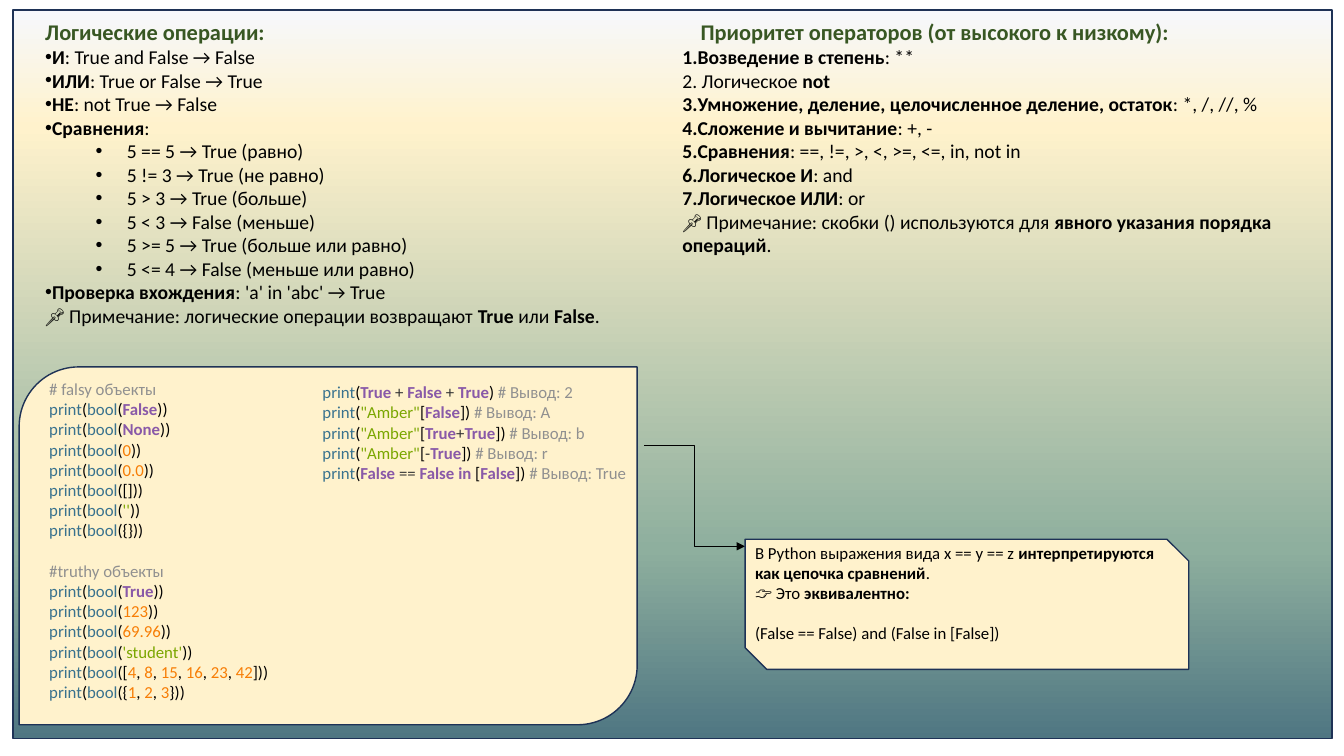
from dataclasses import dataclass
from itertools import groupby

from lxml.etree import SubElement
from pptx import Presentation
from pptx.dml.color import RGBColor
from pptx.enum.shapes import MSO_CONNECTOR, MSO_SHAPE
from pptx.enum.text import MSO_AUTO_SIZE
from pptx.oxml.ns import qn
from pptx.util import Inches, Pt


@dataclass(frozen=True)
class Theme:
    font: str = "Calibri"
    heading_size: int = 16
    body_size: int = 14
    code_size: int = 12
    heading: str = "385723"
    text: str = "000000"
    card: str = "FFF2CC"
    outline: str = "1E3256"
    call: str = "39728E"
    keyword: str = "8959A8"
    number: str = "F77D05"
    string: str = "7AA600"
    operator: str = "333333"
    comment: str = "909090"
    gradient: tuple = ((0, "F6F8FC"), (16, "FFF2CC"), (74, "8EAF9E"), (100, "4F7682"))


@dataclass(frozen=True)
class Box:
    left: float
    top: float
    width: float
    height: float

    def inner(self, left, top, width, height):
        return Box(self.left + left, self.top + top, width, height)

    def lengths(self):
        return [Inches(value) for value in (self.left, self.top, self.width, self.height)]


THEME = Theme()

LOGIC = [
    "|И|: True and False → False",
    "|ИЛИ|: True or False → True",
    "|НЕ|: not True → False",
    "|Сравнения|:",
]
COMPARISONS = [
    "5 == 5 → True (равно)",
    "5 != 3 → True (не равно)",
    "5 > 3 → True (больше)",
    "5 < 3 → False (меньше)",
    "5 >= 5 → True (больше или равно)",
    "5 <= 4 → False (меньше или равно)",
]
PRIORITIES = [
    "|Возведение в степень|: **",
    " Логическое |not|",
    "|Умножение, деление, целочисленное деление, остаток|: *, /, //, %",
    "|Сложение и вычитание|: +, -",
    "|Сравнения|: ==, !=, >, <, >=, <=, in, not in",
    "|Логическое И|: and",
    "|Логическое ИЛИ|: or",
]
FALSY = ["False", "None", "0", "0.0", "[]", "''", "{}"]
TRUTHY = ["True", "123", "69.96", "'student'", "[4, 8, 15, 16, 23, 42]", "{1, 2, 3}"]
TRICKS = [
    "print(True + False + True) # Вывод: 2",
    'print("Amber"[False]) # Вывод: A',
    'print("Amber"[True+True]) # Вывод: b',
    'print("Amber"[-True]) # Вывод: r',
    "print(False == False in [False]) # Вывод: True",
]


def marked_runs(text, color=THEME.text):
    return [(part, color, index % 2 == 1) for index, part in enumerate(text.split("|")) if part]


def code_runs(line):
    code, mark, comment = line.partition("#")
    kinds, quote = [], ""
    for character in code:
        if quote or character in "'\"":
            kinds.append("string")
            quote = character if not quote else "" if character == quote else quote
        elif character.isalnum() or character == ".":
            kinds.append("word")
        else:
            kinds.append("operator" if character in "+-=" else "text")
    runs = []
    for kind, pairs in groupby(zip(kinds, code), key=lambda pair: pair[0]):
        token = "".join(character for _, character in pairs)
        if kind == "word":
            kind = "call" if token in ("print", "bool") else "number" if token[0].isdigit() else "keyword"
        runs.append((token, getattr(THEME, kind), kind == "keyword"))
    if mark:
        runs.append((mark + comment, THEME.comment, False))
    return runs


def add_paragraph(text_frame, runs, size=THEME.body_size, bullet=None, margin=0, indent=0, space_before=0):
    paragraph = text_frame.paragraphs[0]
    if paragraph.runs:
        paragraph = text_frame.add_paragraph()
    paragraph.space_before = Pt(space_before)
    properties = paragraph._p.get_or_add_pPr()
    properties.set("marL", str(Inches(margin)))
    properties.set("indent", str(Inches(indent)))
    if bullet == "number":
        SubElement(properties, qn("a:buAutoNum"), type="arabicPeriod")
    elif bullet:
        SubElement(properties, qn("a:buFont"), typeface="Arial")
        SubElement(properties, qn("a:buChar"), char=bullet)
    for text, color, bold in runs:
        run = paragraph.add_run()
        run.text = text
        run.font.name = THEME.font
        run.font.size = Pt(size)
        run.font.bold = bold
        run.font.color.rgb = RGBColor.from_string(color)


def add_text_frame(slide, box):
    text_frame = slide.shapes.add_textbox(*box.lengths()).text_frame
    text_frame.word_wrap = True
    text_frame.auto_size = MSO_AUTO_SIZE.SHAPE_TO_FIT_TEXT
    return text_frame


def add_card(slide, box, preset):
    shape = slide.shapes.add_shape(preset, *box.lengths())
    shape.shadow.inherit = False
    shape.fill.solid()
    shape.fill.fore_color.rgb = RGBColor.from_string(THEME.card)
    shape.line.color.rgb = RGBColor.from_string(THEME.outline)
    shape.line.width = Pt(1)
    return shape


def add_backdrop(slide, box):
    shape = add_card(slide, box, MSO_SHAPE.RECTANGLE)
    shape.fill.gradient()
    shape.fill.gradient_angle = 270
    stops = shape._element.spPr.find(".//" + qn("a:gsLst"))
    for stop in list(stops):
        stops.remove(stop)
    for position, color in THEME.gradient:
        stop = SubElement(stops, qn("a:gs"), pos=str(position * 1000))
        SubElement(stop, qn("a:srgbClr"), val=color)


def add_logic(slide, box):
    frame = add_text_frame(slide, box)
    add_paragraph(frame, marked_runs("|Логические операции:|", THEME.heading), size=THEME.heading_size)
    for text in LOGIC:
        add_paragraph(frame, marked_runs(text), bullet="•")
    for text in COMPARISONS:
        add_paragraph(frame, marked_runs(text), bullet="•", margin=0.81, indent=-0.31)
    add_paragraph(frame, marked_runs("|Проверка вхождения|: 'a' in 'abc' → True"), bullet="•")
    add_paragraph(frame, marked_runs("📌 Примечание: логические операции возвращают |True| или |False|."))


def add_priorities(slide, box):
    frame = add_text_frame(slide, box)
    heading = marked_runs("|Приоритет операторов (от высокого к низкому):|", THEME.heading)
    add_paragraph(frame, heading, size=THEME.heading_size, margin=0.18)
    for text in PRIORITIES:
        add_paragraph(frame, marked_runs(text), bullet="number")
    note = "📌 Примечание: скобки () используются для |явного указания порядка операций|."
    add_paragraph(frame, marked_runs(note))


def add_code(slide, box):
    add_card(slide, box, MSO_SHAPE.ROUND_2_DIAG_RECTANGLE)
    frame = add_text_frame(slide, box.inner(2.91, 0.1, 3.52, 1.11))
    for line in TRICKS:
        add_paragraph(frame, code_runs(line), size=THEME.code_size)
    frame = add_text_frame(slide, box.inner(0.2, 0.07, 2.9, 3.43))
    for title, values, gap in (("# falsy объекты", FALSY, 0), ("#truthy объекты", TRUTHY, 14.6)):
        add_paragraph(frame, code_runs(title), size=THEME.code_size, space_before=gap)
        for value in values:
            add_paragraph(frame, code_runs(f"print(bool({value}))"), size=THEME.code_size)


def add_callout(slide, box):
    add_card(slide, box, MSO_SHAPE.SNIP_2_DIAG_RECTANGLE)
    frame = add_text_frame(slide, box.inner(0, -0.02, 4.41, 1.11))
    for text, gap in (
        ("В Python выражения вида x == y == z |интерпретируются как цепочка сравнений|.", 0),
        ("👉 Это |эквивалентно:|", 0),
        ("(False == False) and (False in [False])", 14.6),
    ):
        add_paragraph(frame, marked_runs(text), size=THEME.code_size, space_before=gap)


def add_arrow(slide, box):
    left, top, width, height = box.lengths()
    connector = slide.shapes.add_connector(MSO_CONNECTOR.ELBOW, left, top, left + width, top + height)
    connector.line.color.rgb = RGBColor.from_string(THEME.text)
    connector.line.width = Pt(0.5)
    SubElement(connector.line._get_or_add_ln(), qn("a:tailEnd"), type="triangle")
    SubElement(connector._element.spPr, qn("a:effectLst"))


def main():
    presentation = Presentation()
    presentation.slide_width, presentation.slide_height = Inches(13.33), Inches(7.5)
    slide = presentation.slides.add_slide(presentation.slide_layouts[6])
    add_backdrop(slide, Box(0.13, 0.1, 13.08, 7.23))
    add_logic(slide, Box(0.35, 0.13, 6.31, 3.2))
    add_priorities(slide, Box(6.67, 0.13, 6.92, 3.2))
    add_arrow(slide, Box(6.39, 4.42, 1, 1))
    add_code(slide, Box(0.19, 3.64, 6.13, 3.55))
    add_callout(slide, Box(7.39, 5.35, 4.4, 1.29))
    presentation.save("out.pptx")


if __name__ == "__main__":
    main()
